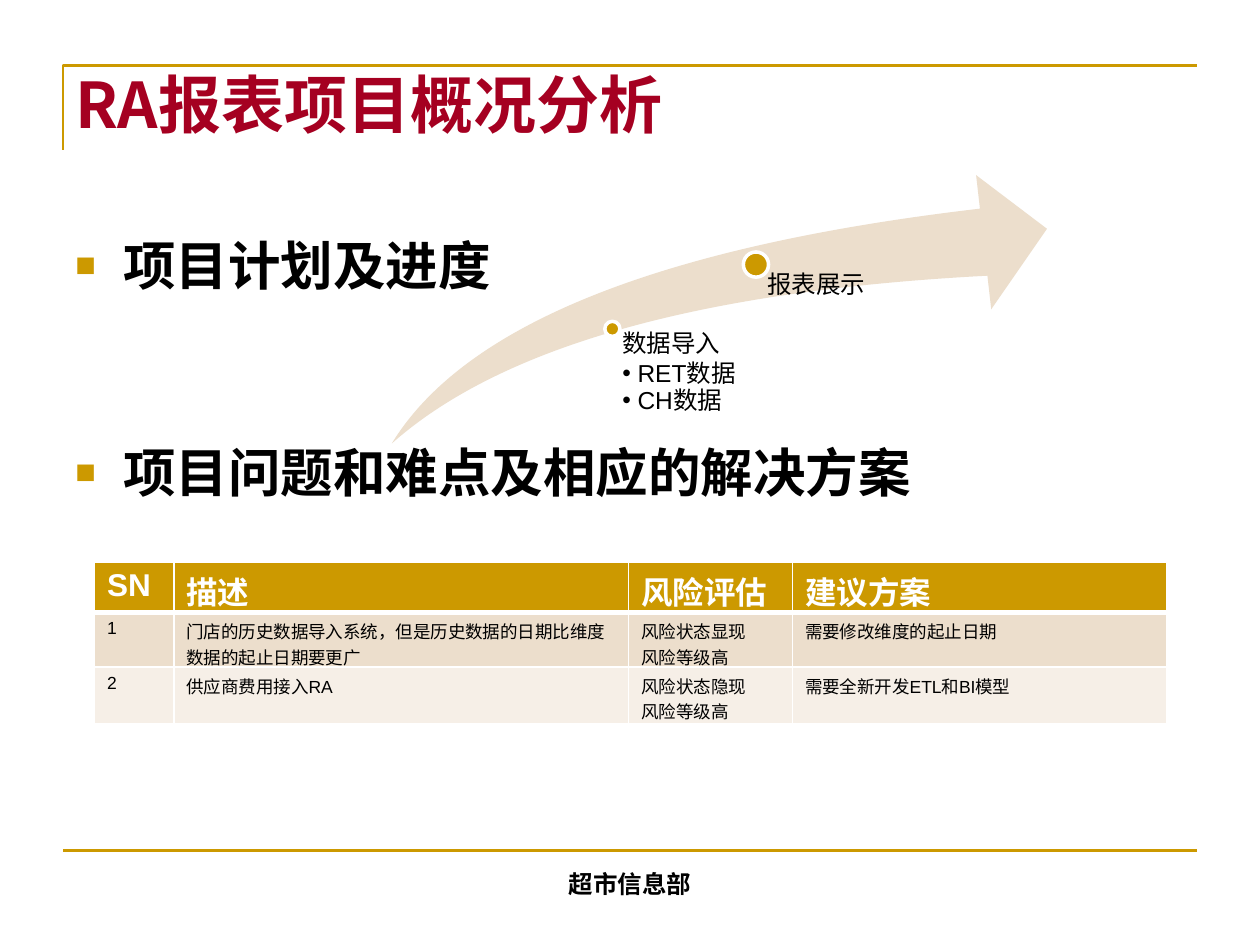
from dataclasses import dataclass

import lxml.etree
import pptx
import pptx.dml.color
import pptx.enum.shapes
import pptx.enum.text
import pptx.oxml.ns
import pptx.util

Inches = pptx.util.Inches
Pt = pptx.util.Pt
qn = pptx.oxml.ns.qn
ShapeKind = pptx.enum.shapes.MSO_SHAPE


@dataclass(frozen=True)
class Theme:
    gold: str = "CC9900"
    red: str = "A50021"
    sand: str = "ECDECC"
    cream: str = "F6EFE7"
    black: str = "000000"
    white: str = "FFFFFF"
    heading_font: str = "Noto Sans CJK SC"
    body_font: str = "Arial"
    title_size: int = 36
    topic_size: int = 30
    header_size: int = 18
    label_size: int = 14
    cell_size: int = 10


THEME = Theme()


def rgb(value):
    return pptx.dml.color.RGBColor.from_string(value)


def set_attributes(target, values):
    for name, value in values.items():
        setattr(target, name, value)


def add_child(parent, tag, **attributes):
    return lxml.etree.SubElement(parent, qn(tag), **attributes)


def write_run(paragraph, text, size, color, font, bold=False):
    run = paragraph.add_run()
    run.text = text
    set_attributes(run.font, {"size": Pt(size), "name": font, "bold": bold})
    run.font.color.rgb = rgb(color)
    add_child(run.font._element, "a:ea", typeface=THEME.heading_font)


def add_bullet(paragraph, character, indent, color, percent):
    properties = paragraph._p.get_or_add_pPr()
    properties.set("marL", str(Inches(indent)))
    properties.set("indent", str(-Inches(indent)))
    add_child(add_child(properties, "a:buClr"), "a:srgbClr", val=color)
    add_child(properties, "a:buSzPct", val=str(percent * 1000))
    add_child(properties, "a:buFont", typeface=THEME.body_font)
    add_child(properties, "a:buChar", char=character)


def add_text_frame(slide, box, side_inset=0.1, top_inset=0.05):
    frame = slide.shapes.add_textbox(*map(Inches, box)).text_frame
    set_attributes(frame, {
        "word_wrap": True,
        "margin_left": Inches(side_inset),
        "margin_right": 0,
        "margin_top": Inches(top_inset),
        "margin_bottom": 0,
    })
    return frame


def add_title(slide, box, text):
    left, top, width, height = map(Inches, box)
    builder = slide.shapes.build_freeform(left, top + height)
    builder.add_line_segments([(left, top), (left + width, top)], close=False)
    bracket = builder.convert_to_shape()
    bracket.shadow.inherit = False
    bracket.fill.background()
    bracket.line.color.rgb = rgb(THEME.gold)
    bracket.line.width = Pt(1.5)
    frame = add_text_frame(slide, box, top_inset=0)
    write_run(frame.paragraphs[0], text, THEME.title_size, THEME.red,
              THEME.heading_font, True)


def add_footer(slide, box, text):
    left, top, width, height = box
    rule = slide.shapes.add_connector(
        pptx.enum.shapes.MSO_CONNECTOR.STRAIGHT,
        Inches(left), Inches(top), Inches(left + width), Inches(top))
    rule.line.color.rgb = rgb(THEME.gold)
    rule.line.width = Pt(1.5)
    add_child(rule._element.spPr, "a:effectLst")
    frame = add_text_frame(slide, (left, top + 0.1, width, height - 0.1), 0)
    paragraph = frame.paragraphs[0]
    paragraph.alignment = pptx.enum.text.PP_ALIGN.CENTER
    write_run(paragraph, text, THEME.label_size, THEME.black,
              THEME.heading_font, True)


def add_topics(slide, box, topics, gap):
    frame = add_text_frame(slide, box)
    for index, topic in enumerate(topics):
        paragraph = frame.add_paragraph() if index else frame.paragraphs[0]
        if index:
            paragraph.space_before = Pt(gap)
        add_bullet(paragraph, "■", 0.38, THEME.gold, 65)
        write_run(paragraph, topic, THEME.topic_size, THEME.black,
                  THEME.heading_font, True)


def add_filled_shape(slide, kind, box, color):
    shape = slide.shapes.add_shape(kind, *map(Inches, box))
    shape.shadow.inherit = False
    shape.fill.solid()
    shape.fill.fore_color.rgb = rgb(color)
    shape.line.fill.background()
    return shape


def add_milestone(slide, box, diameter, inset, heading, details=()):
    left, top, width, height, center_x, center_y = box
    dot = add_filled_shape(
        slide, ShapeKind.OVAL,
        (center_x - diameter / 2, center_y - diameter / 2, diameter, diameter),
        THEME.gold)
    dot.line.color.rgb = rgb(THEME.white)
    dot.line.width = Pt(2)
    frame = add_text_frame(slide, (left, top, width, height), inset, 0)
    for index, text in enumerate((heading, *details)):
        paragraph = frame.add_paragraph() if index else frame.paragraphs[0]
        set_attributes(paragraph, {
            "line_spacing": 0.9,
            "space_after": Pt(0 if index else 2),
        })
        if index:
            add_bullet(paragraph, "•", 0.12, THEME.black, 100)
        write_run(paragraph, text, THEME.label_size, THEME.black,
                  THEME.body_font)


def add_roadmap(slide, box):
    left, top, width, height = box
    arrow = add_filled_shape(slide, ShapeKind.SWOOSH_ARROW, box, THEME.sand)
    for index in range(2):
        arrow.adjustments[index] = 0.25
    add_milestone(slide, (left + 1.77, top + 1.24, 1.38, 0.76,
                          left + 1.75, top + 1.22),
                  0.12, 0.06, "数据导入", ("RET数据", "CH数据"))
    add_milestone(slide, (left + 2.87, top + 0.77, 1.15, 0.31,
                          left + 2.89, top + 0.71),
                  0.2, 0.11, "报表展示")


def style_cell(cell, text, size, color, fill, bold):
    for index, line in enumerate(text.split("\n")):
        frame = cell.text_frame
        paragraph = frame.add_paragraph() if index else frame.paragraphs[0]
        write_run(paragraph, line, size, color, THEME.body_font, bold)
    properties = cell._tc.get_or_add_tcPr()
    for side in ("L", "R", "T", "B"):
        width = 3 if bold and side == "B" else 1
        border = add_child(properties, f"a:ln{side}", w=str(Pt(width)))
        add_child(add_child(border, "a:solidFill"), "a:srgbClr",
                  val=THEME.white)
    cell.fill.solid()
    cell.fill.fore_color.rgb = rgb(fill)


def add_issue_table(slide, box, column_widths, row_heights, rows):
    table = slide.shapes.add_table(
        len(rows), len(column_widths), *map(Inches, box)).table
    for column, width in zip(table.columns, column_widths):
        column.width = Inches(width)
    for row, height in zip(table.rows, row_heights):
        row.height = Inches(height)
    styles = [(THEME.header_size, THEME.white, THEME.gold, True)]
    styles += [(THEME.cell_size, THEME.black, fill, False)
               for fill in (THEME.sand, THEME.cream)]
    for row, texts, style in zip(table.rows, rows, styles):
        for cell, text in zip(row.cells, texts):
            style_cell(cell, text, *style)


def main():
    presentation = pptx.Presentation()
    presentation.slide_width = Inches(10)
    presentation.slide_height = Inches(7.5)
    slide = presentation.slides.add_slide(presentation.slide_layouts[6])
    add_title(slide, (0.5, 0.52, 9, 0.67), "RA报表项目概况分析")
    add_footer(slide, (0.5, 6.75, 9, 0.55), "超市信息部")
    add_topics(slide, (0.5, 1.8, 9, 2.5),
               ("项目计划及进度", "项目问题和难点及相应的解决方案"), 82.5)
    add_roadmap(slide, (3.11, 1.39, 5.2, 2.13))
    add_issue_table(
        slide, (0.75, 4.46, 8.5, 1.28),
        (0.63, 3.61, 1.3, 2.97), (0.34, 0.39, 0.45),
        (("SN", "描述", "风险评估", "建议方案"),
         ("1", "门店的历史数据导入系统，但是历史数据的日期比维度数据的起止日期要更广",
          "风险状态显现\n风险等级高", "需要修改维度的起止日期"),
         ("2", "供应商费用接入RA", "风险状态隐现\n风险等级高",
          "需要全新开发ETL和BI模型")))
    presentation.save("out.pptx")


if __name__ == "__main__":
    main()
